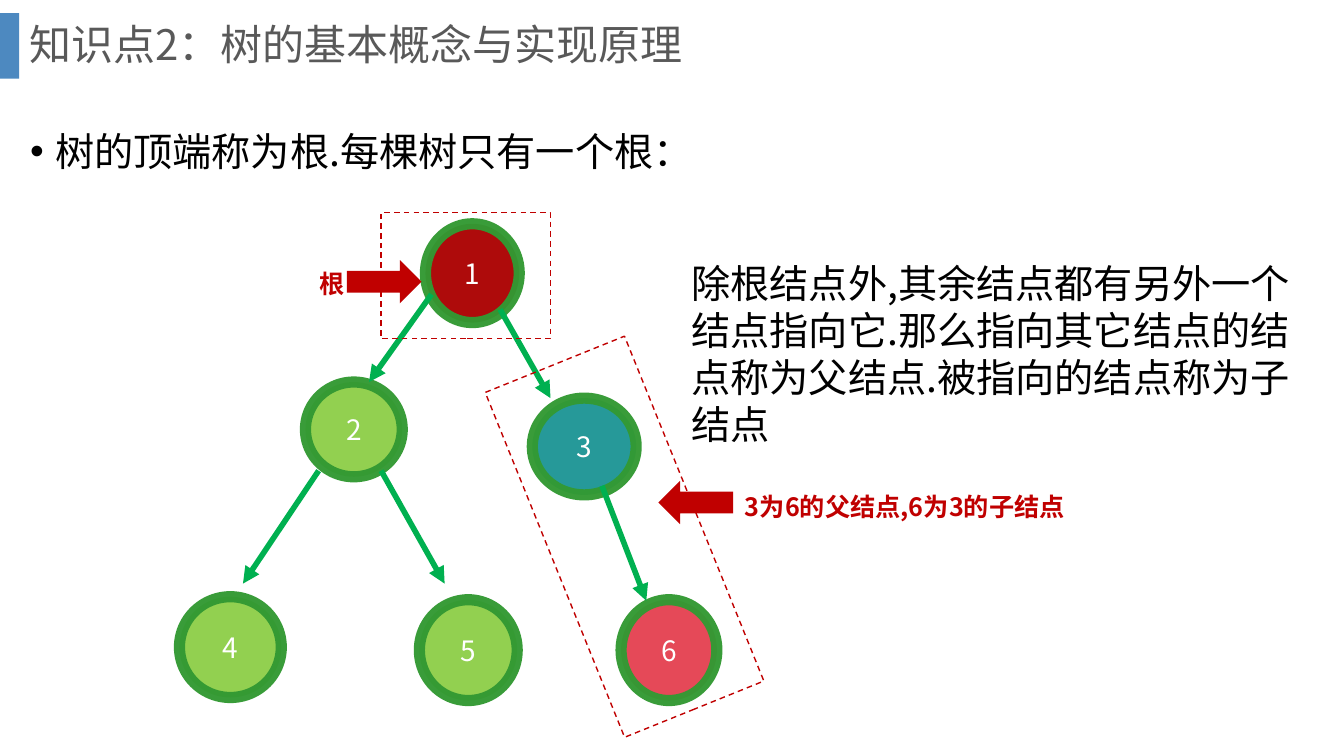
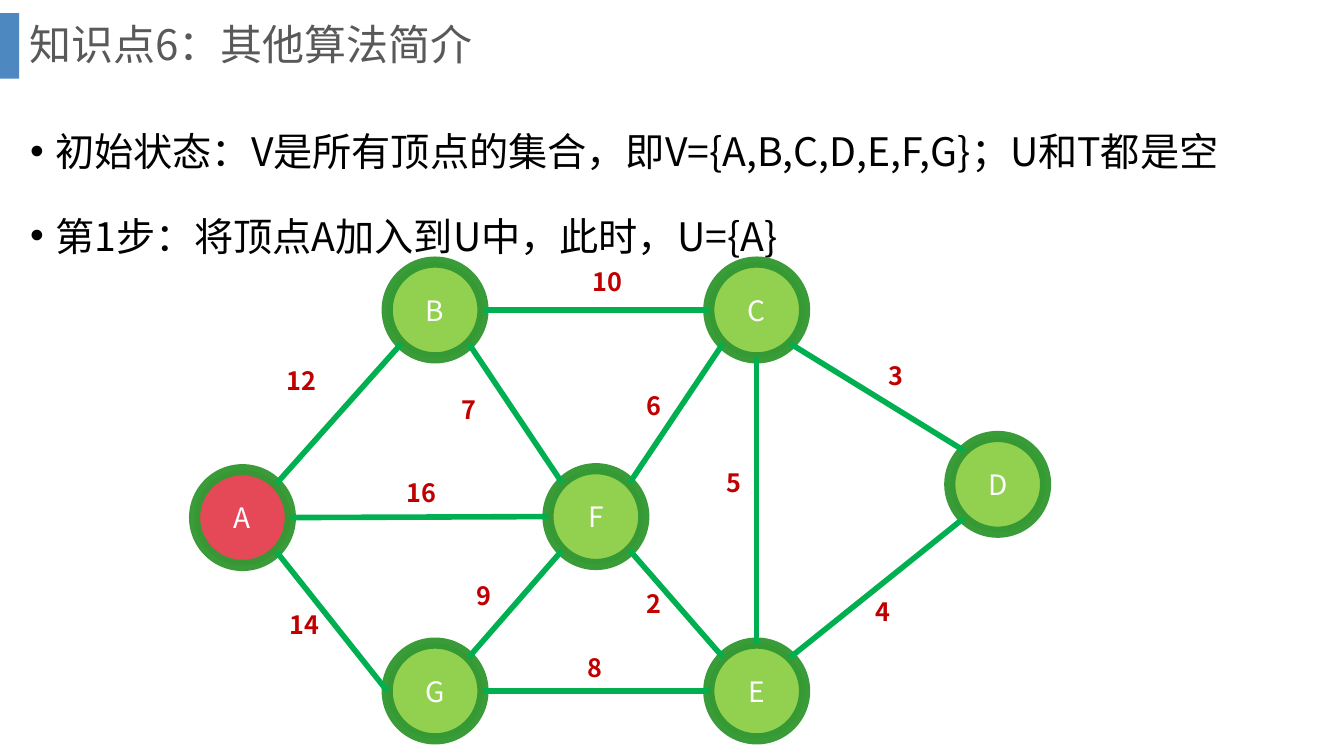
from math import cos, radians, sin

from lxml.etree import SubElement
from pptx import Presentation
from pptx.dml.color import RGBColor
from pptx.enum.dml import MSO_LINE
from pptx.enum.shapes import MSO_CONNECTOR, MSO_SHAPE as Preset
from pptx.enum.text import MSO_ANCHOR as Anchor, PP_ALIGN as Align
from pptx.oxml.ns import qn
from pptx.util import Inches, Pt

FONT = "Noto Sans CJK SC"
COLUMNS, ROWS = 133.3, 75
BAND, TITLE, BLACK, WHITE = "2E75B6", "595959", "000000", "FFFFFF"
RED, RING, EDGE = "C00000", "339933", "00B050"
LEAF, ROOT, PARENT, CHOSEN = "92D050", "AE0B0B", "269999", "E54958"
COMPASS = {"E": 0, "SE": 45, "S": 90, "SW": 135, "W": 180, "NW": 225, "N": 270, "NE": 315}


def cells(*counts):
    """Lengths for counts of grid cells, which are a tenth of an inch wide and high."""
    return [Inches(count / 10) for count in counts]


def paint(fill, color, alpha=100):
    """Fill with a hex colour; alpha is the opacity in percent."""
    fill.solid()
    fill.fore_color.rgb = RGBColor.from_string(color)
    if alpha < 100:
        solid = fill._xPr.find(qn("a:solidFill"))
        SubElement(solid[0], qn("a:alpha"), val=str(alpha * 1000))


def assign(target, values):
    for name, value in values.items():
        setattr(target, name, value)


class Board:
    """The common style and the slide being drawn."""

    def __init__(self):
        self.deck = Presentation()
        self.deck.slide_width, self.deck.slide_height = cells(COLUMNS, ROWS)
        self.page = None

    def start(self, title, bullets):
        self.page = self.deck.slides.add_slide(self.deck.slide_layouts[6])
        self.shape(Preset.RECTANGLE, (0, 1.3, 1.9, 6.5), BAND, alpha=85)
        self.text((1.9, 0, 126.6, 9.3), [title], 30, TITLE,
                  anchor=Anchor.MIDDLE, line_spacing=0.9)
        self.text((2, 9.8, 129, 59.6), bullets, 28, BLACK, bullet=True, line_spacing=1.5)

    def add_lines(self, frame, lines, size, color, bold=False, bullet=False,
                  anchor=Anchor.TOP, **layout):
        assign(frame, {"word_wrap": True, "vertical_anchor": anchor})
        for index, line in enumerate(lines):
            para = frame.add_paragraph() if index else frame.paragraphs[0]
            if bullet:
                properties = para._p.get_or_add_pPr()
                properties.set("marL", str(Inches(0.25)))
                properties.set("indent", str(Inches(-0.25)))
                SubElement(properties, qn("a:buFont"), typeface="Arial")
                SubElement(properties, qn("a:buChar"), char="•")
                if index:
                    para.space_before = Pt(10)
            assign(para, layout)
            span = para.add_run()
            span.text = line
            assign(span.font, {"size": Pt(size), "bold": bold, "name": FONT})
            span.font.color.rgb = RGBColor.from_string(color)
            SubElement(span._r.get_or_add_rPr(), qn("a:ea"), typeface=FONT)

    def text(self, area, lines, size, color, **style):
        box = self.page.shapes.add_textbox(*cells(*area))
        self.add_lines(box.text_frame, lines, size, color, **style)

    def label(self, left, top, words, width=5.1):
        self.text((left, top, width, 4), [words], 18, RED, bold=True)

    def shape(self, preset, area, color=None, alpha=100, rotation=0):
        shape = self.page.shapes.add_shape(preset, *cells(*area))
        shape.shadow.inherit = False
        shape.rotation = rotation
        shape.line.fill.background()
        if color:
            paint(shape.fill, color, alpha)
        else:
            shape.fill.background()
        return shape

    def node(self, name, area, color):
        circle = self.shape(Preset.OVAL, area, color)
        paint(circle.line.fill, RING, 96)
        circle.line.width = Pt(8)
        self.add_lines(circle.text_frame, [name], 20, WHITE,
                       anchor=Anchor.MIDDLE, alignment=Align.CENTER)

    def frame(self, area, rotation=0):
        outline = self.shape(Preset.RECTANGLE, area, rotation=rotation).line
        paint(outline.fill, RED)
        assign(outline, {"width": Pt(1), "dash_style": MSO_LINE.DASH})

    def pointer(self, left, top, rotation=0):
        self.shape(Preset.RIGHT_ARROW, (left, top, 7.4, 4.3), RED, rotation=rotation)

    def edge(self, start, end, arrow=False):
        edge = self.page.shapes.add_connector(
            MSO_CONNECTOR.STRAIGHT, *cells(*start, *end))
        paint(edge.line.fill, EDGE)
        edge.line.width = Pt(4)
        if arrow:
            SubElement(edge.line._get_or_add_ln(), qn("a:tailEnd"), type="triangle")
        SubElement(edge._element.spPr, qn("a:effectLst"))


def draw_tree(board):
    board.start("知识点2：树的基本概念与实现原理", ["树的顶端称为根.每棵树只有一个根："])
    nodes = [
        ((42.2, 22.2, 9.3, 9.8), ROOT),
        ((30.3, 37.9, 9.6, 9.4), LEAF),
        ((52.8, 39.5, 10.3, 9.6), PARENT),
        ((17.8, 59.2, 10.1, 10), LEAF),
        ((41.6, 59.5, 9.7, 10), LEAF),
        ((61.6, 59.5, 9.5, 10), CHOSEN),
    ]
    for number, (area, color) in enumerate(nodes, 1):
        board.node(str(number), area, color)
    for start, end in [
        ((42.8, 29.2), (36.6, 37.9)),
        ((49.6, 30.7), (54.6, 39.5)),
        ((31.6, 46.7), (24.1, 57.9)),
        ((37.8, 46.7), (44.1, 57.9)),
        ((59.7, 48.2), (64.1, 59.6)),
    ]:
        board.edge(start, end, arrow=True)
    board.frame((37.8, 21.1, 16.8, 12.5))
    board.label(30.7, 26.1, "根", 26.9)
    board.pointer(34.4, 25.8)
    board.text((67.6, 25.2, 62.8, 19.9),
               ["除根结点外,其余结点都有另外一个结点指向它."
                "那么指向其它结点的结点称为父结点.被指向的结点称为子结点"], 28, BLACK)
    board.label(72.9, 48.3, "3为6的父结点,6为3的子结点", 34.2)
    board.frame((54.5, 34.8, 14.9, 36.9), rotation=338)
    board.pointer(65.3, 47.7, rotation=180)


def draw_graph(board):
    board.start("知识点6：其他算法简介",
                ["初始状态：V是所有顶点的集合，即V={A,B,C,D,E,F,G}；U和T都是空",
                 "第1步：将顶点A加入到U中，此时，U={A}"])
    size = 9.5
    left, right, top, bottom = 38.4, 70.3, 26, 63.8
    corners = {"A": (19.3, 46.6), "B": (left, top), "C": (right, top),
               "D": (94.2, 43.3), "E": (right, bottom),
               "F": ((left + right) / 2, 46.5), "G": (left, bottom)}
    for name, corner in corners.items():
        board.node(name, (*corner, size, size), CHOSEN if name == "A" else LEAF)

    def rim(name, side):
        """The point of a node's circle on a compass side."""
        angle = radians(COMPASS[side])
        x, y = corners[name]
        return x + size / 2 * (1 + cos(angle)), y + size / 2 * (1 + sin(angle))

    for first, side, second, facing, weight, spot in [
        ("A", "NE", "B", "SW", 12, (27.4, 35.8)),
        ("A", "SE", "G", "W", 14, (27.7, 60)),
        ("A", "E", "F", "W", 16, (39.3, 46.9)),
        ("G", "E", "E", "W", 8, (57.3, 64.2)),
        ("B", "SE", "F", "NW", 7, (44.8, 38.6)),
        ("B", "E", "C", "W", 10, (57.8, 25.9)),
        ("G", "NE", "F", "SW", 9, (46.3, 57.1)),
        ("F", "SE", "E", "NW", 2, (63.1, 57.9)),
        ("C", "S", "E", "N", 5, (71.1, 45.9)),
        ("F", "NE", "C", "SW", 6, (63.1, 38.2)),
        ("C", "SE", "D", "NW", 3, (87.1, 35.3)),
        ("E", "NE", "D", "SW", 4, (85.8, 58.7)),
    ]:
        board.edge(rim(first, side), rim(second, facing))
        board.label(*spot, str(weight))


def main():
    board = Board()
    draw_tree(board)
    draw_graph(board)
    board.deck.save("out.pptx")


if __name__ == "__main__":
    main()
